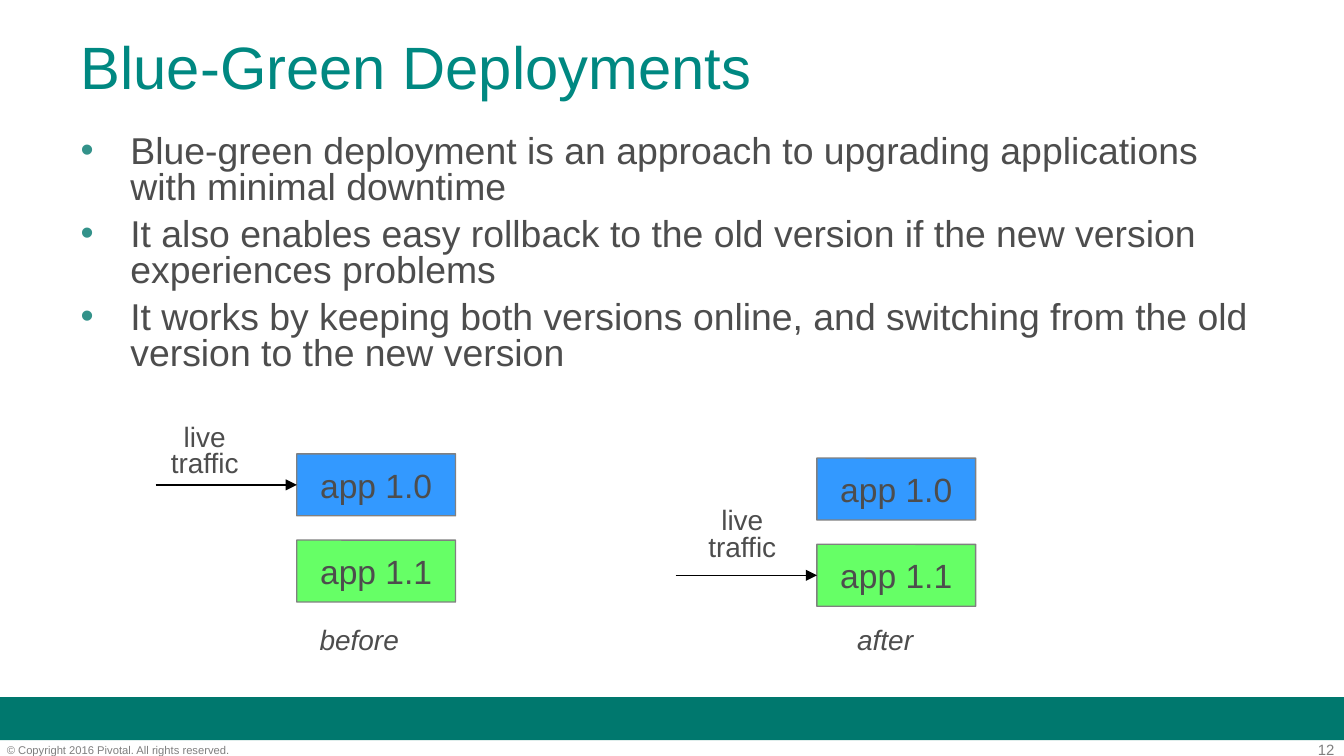
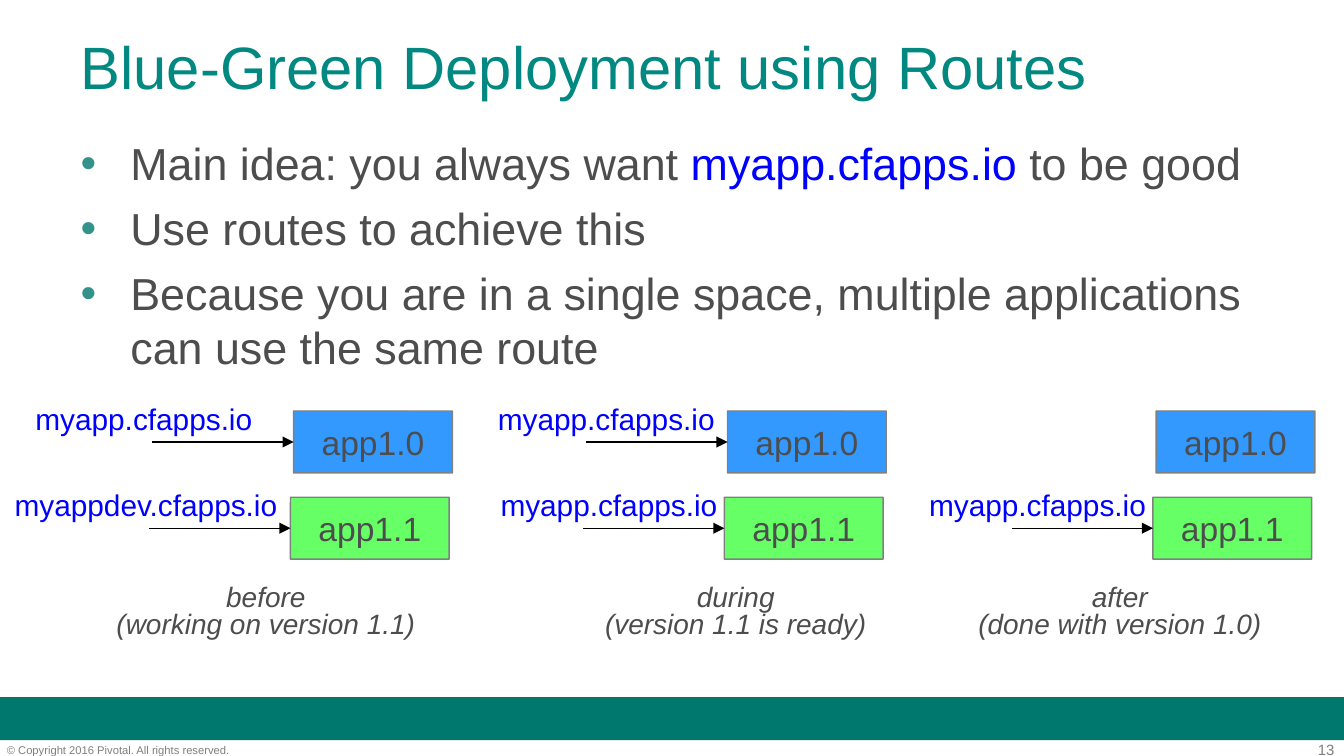
import pptx
import pptx.dml.color
import pptx.enum.shapes
import pptx.enum.text
import pptx.oxml
import pptx.oxml.ns
import pptx.util

Cm = pptx.util.Cm
Pt = pptx.util.Pt
ALIGN = pptx.enum.text.PP_ALIGN
ANCHOR = pptx.enum.text.MSO_ANCHOR
SHAPE = pptx.enum.shapes.MSO_SHAPE

FONT = "Arial"
TITLE_COLOR = "008881"
BULLET_COLOR = "33928A"
BAND_COLOR = "00786E"
TEXT_COLOR = "4D4D4D"
LINK_COLOR = "0000FF"
FOOTER_COLOR = "7F7F7F"
OUTLINE_COLOR = "808080"
ARROW_COLOR = "000000"
APP_COLORS = ("3399FF", "66FF66")

SLIDE_WIDTH, SLIDE_HEIGHT = 25.4, 14.29
MARGIN = 1.27
APP_WIDTH, APP_HEIGHT, APP_PITCH = 3.0, 1.17, 1.63
ARROW_LENGTH = 2.67
COPYRIGHT = "© Copyright 2016 Pivotal. All rights reserved."
ROUTE = "myapp.cfapps.io"


def rgb(value):
    return pptx.dml.color.RGBColor.from_string(value)


def style_span(span, size, color, italic=None):
    span.font.name = FONT
    span.font.size = Pt(size)
    span.font.italic = italic
    span.font.color.rgb = rgb(color)


def write(frame, text, size, color, align=ALIGN.CENTER, spacing=None, italic=None):
    frame.text = text
    for para in frame.paragraphs:
        para.alignment = align
        para.line_spacing = spacing
        for span in para.runs:
            style_span(span, size, color, italic)


def place(shape, left, top, width, height):
    shape.left, shape.top = Cm(left), Cm(top)
    shape.width, shape.height = Cm(width), Cm(height)


def add_label(page, box, text, size, color, inset=True, **style):
    label = page.shapes.add_textbox(*map(Cm, box))
    frame = label.text_frame
    frame.word_wrap = False
    if not inset:
        frame.margin_left = frame.margin_right = 0
        frame.margin_top = frame.margin_bottom = 0
    write(frame, text, size, color, **style)


def add_footer(page, number):
    band = page.shapes.add_shape(SHAPE.RECTANGLE, 0, Cm(13.18), Cm(SLIDE_WIDTH), Cm(0.81))
    band.shadow.inherit = False
    band.fill.solid()
    band.fill.fore_color.rgb = rgb(BAND_COLOR)
    band.line.fill.background()
    add_label(page, (23.75, 14.0, 1.47, 0.33), str(number), 8, FOOTER_COLOR,
              inset=False, align=ALIGN.RIGHT)
    add_label(page, (0.13, 14.05, 6.32, 0.25), COPYRIGHT, 6, FOOTER_COLOR,
              inset=False, align=ALIGN.LEFT)


def add_bullet(para):
    properties = para._p.get_or_add_pPr()
    properties.set("marL", str(Cm(0.94)))
    properties.set("indent", str(Cm(-0.94)))
    namespace = pptx.oxml.ns.nsdecls("a")
    for markup in (
        f'<a:buClr {namespace}><a:srgbClr val="{BULLET_COLOR}"/></a:buClr>',
        f'<a:buFont {namespace} typeface="{FONT}"/>',
        f'<a:buChar {namespace} char="•"/>',
    ):
        properties.append(pptx.oxml.parse_xml(markup))


def add_bullets(body, bullets, size, spacing):
    place(body, MARGIN, 2.44, SLIDE_WIDTH - 2 * MARGIN, 5.11)
    frame = body.text_frame
    frame.auto_size = pptx.enum.text.MSO_AUTO_SIZE.NONE
    frame.vertical_anchor = ANCHOR.TOP
    for index, bullet in enumerate(bullets):
        para = frame.add_paragraph() if index else frame.paragraphs[0]
        add_bullet(para)
        para.alignment = ALIGN.LEFT
        para.line_spacing = spacing
        para.space_before = Pt(6 if index else 0)
        for piece in filter(None, bullet.partition(ROUTE)):
            span = para.add_run()
            span.text = piece
            style_span(span, size, LINK_COLOR if piece == ROUTE else TEXT_COLOR)


def add_page(deck, number, title, bullets, size, spacing):
    page = deck.slides.add_slide(deck.slide_layouts[1])
    add_footer(page, number)
    heading = page.shapes.title
    place(heading, MARGIN, 0.05, SLIDE_WIDTH - 2 * MARGIN, 2.39)
    frame = heading.text_frame
    frame.auto_size = pptx.enum.text.MSO_AUTO_SIZE.NONE
    frame.vertical_anchor = ANCHOR.MIDDLE
    write(frame, title, 32, TITLE_COLOR, align=ALIGN.LEFT)
    add_bullets(page.placeholders[1], bullets, size, spacing)
    return page


def add_app(page, left, top, name, color):
    app = page.shapes.add_shape(SHAPE.ROUNDED_RECTANGLE, Cm(left), Cm(top),
                                Cm(APP_WIDTH), Cm(APP_HEIGHT))
    app.adjustments[0] = 0.003
    app.shadow.inherit = False
    app.fill.solid()
    app.fill.fore_color.rgb = rgb(color)
    app.line.color.rgb = rgb(OUTLINE_COLOR)
    app.line.width = Pt(0.75)
    app.text_frame.vertical_anchor = ANCHOR.MIDDLE
    write(app.text_frame, name, 18, TEXT_COLOR)
    return app


def add_app_pair(page, left, top, names, blue_shift=0):
    return [
        add_app(page, left + shift, top + row * APP_PITCH, name, color)
        for row, (name, color, shift) in enumerate(zip(names, APP_COLORS, (blue_shift, 0)))
    ]


def add_arrow(page, app):
    middle = app.top + app.height // 2
    arrow = page.shapes.add_connector(pptx.enum.shapes.MSO_CONNECTOR.STRAIGHT,
                                      app.left - Cm(ARROW_LENGTH), middle, app.left, middle)
    arrow.end_connect(app, 1)
    arrow.line.color.rgb = rgb(ARROW_COLOR)
    arrow.line.width = Pt(0.75)
    namespace = pptx.oxml.ns.nsdecls("a")
    arrow.line._get_or_add_ln().append(
        pptx.oxml.parse_xml(f'<a:tailEnd {namespace} type="triangle"/>'))
    arrow._element.spPr.append(pptx.oxml.parse_xml(f"<a:effectLst {namespace}/>"))


def add_traffic_stage(page, left, top, live_row, label_shift, caption_box, caption):
    apps = add_app_pair(page, left, top, ("app 1.0", "app 1.1"))
    add_arrow(page, apps[live_row])
    shift_x, shift_y = label_shift
    label_top = top + live_row * APP_PITCH + shift_y
    add_label(page, (left + shift_x, label_top, 2.06, 1.32), "live\ntraffic",
              15, TEXT_COLOR, spacing=0.8)
    caption_shift, caption_width = caption_box
    add_label(page, (left + caption_shift, 11.76, caption_width, 0.76), caption,
              15, TEXT_COLOR, align=ALIGN.LEFT, spacing=0.8, italic=True)


def add_route_stage(page, left, top, routes, caption_box, caption):
    apps = add_app_pair(page, left, top, ("app1.0", "app1.1"), blue_shift=0.06)
    for row, route, shift, width in routes:
        add_arrow(page, apps[row])
        add_label(page, (left + shift, top + row * APP_PITCH - 0.33, width, 1.19),
                  route, 16, LINK_COLOR)
    caption_shift, caption_width = caption_box
    add_label(page, (left + caption_shift, top + 3.18, caption_width, 1.32), caption,
              15, TEXT_COLOR, spacing=0.8, italic=True)


def add_overview_page(deck):
    page = add_page(deck, 12, "Blue-Green Deployments", (
        "Blue-green deployment is an approach to upgrading applications with minimal downtime",
        "It also enables easy rollback to the old version if the new version experiences problems",
        "It works by keeping both versions online, and switching from the old version to the new version",
    ), 20, 0.8)
    add_traffic_stage(page, 5.61, 8.58, 0, (-2.77, -0.66), (0.18, 2.31), "before")
    add_traffic_stage(page, 15.44, 8.66, 1, (-2.44, -0.79), (0.51, 1.78), "after")


def add_routes_page(deck):
    page = add_page(deck, 13, "Blue-Green Deployment using Routes", (
        f"Main idea: you always want {ROUTE} to be good",
        "Use routes to achieve this",
        "Because you are in a single space, multiple applications can use the same route",
    ), 24, 1.0)
    stages = (
        (5.49, ((0, ROUTE, -5.16, 4.78), (1, "myappdev.cfapps.io", -5.56, 5.66)),
         (-4.11, 7.29), "before\n(working on version 1.1)"),
        (13.69, ((0, ROUTE, -4.62, 4.78), (1, ROUTE, -4.57, 4.78)),
         (-3.0, 6.43), "during\n(version 1.1 is ready)"),
        (21.79, ((1, ROUTE, -4.57, 4.78),),
         (-4.09, 6.93), "after\n(done with version 1.0)"),
    )
    for left, routes, caption_box, caption in stages:
        add_route_stage(page, left, 7.77, routes, caption_box, caption)


def main():
    deck = pptx.Presentation()
    deck.slide_width, deck.slide_height = Cm(SLIDE_WIDTH), Cm(SLIDE_HEIGHT)
    add_overview_page(deck)
    add_routes_page(deck)
    deck.save("out.pptx")


if __name__ == "__main__":
    main()
